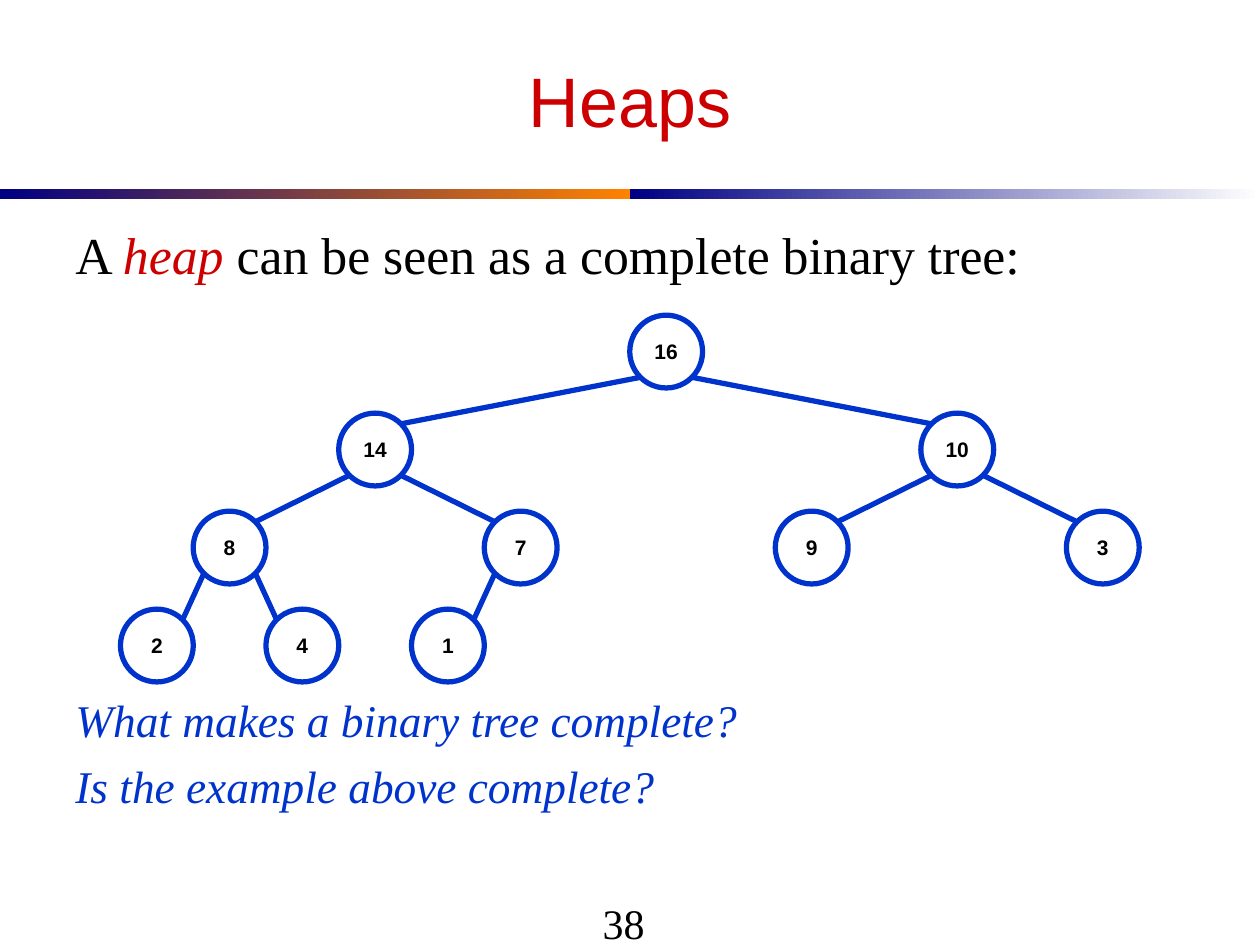
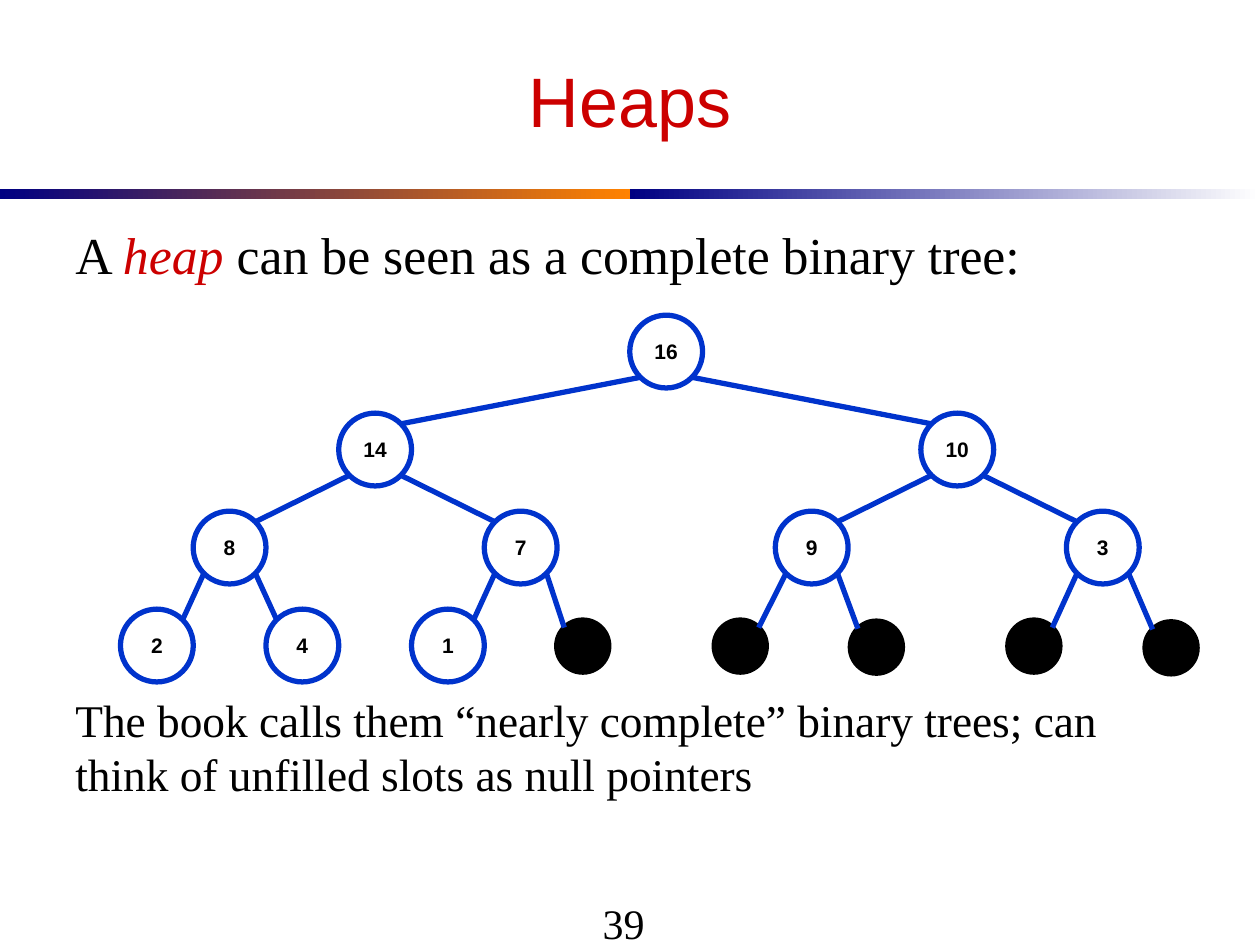
from lxml.etree import SubElement
from pptx import Presentation
from pptx.dml.color import RGBColor
from pptx.enum.shapes import MSO_CONNECTOR as Connector, MSO_SHAPE as Shape
from pptx.enum.text import MSO_ANCHOR as Anchor, PP_ALIGN as Align
from pptx.oxml.ns import qn
from pptx.util import Pt

COLOURS = {
    "ink": "000000",
    "paper": "FFFFFF",
    "red": "CC0000",
    "blue": "0033CC",
    "navy": "000082",
    "orange": "FF8200",
}
SERIF, SANS = "Times New Roman", "Arial"
WIDTH, HEIGHT = 720, 540
HEAP = [16, 14, 10, 8, 7, 9, 3, 2, 4, 1]
NULL_CENTRES = [(333, 369.2), (423, 369.2), (500.8, 369.8), (590.8, 369.2), (669.2, 370.2)]
ROOT_X, ROOT_Y = 380.7, 200.9
COLUMN, ROW = 41.58, 56
NODE_SIZE, NULL_SIZE = 41.6, 29.8
DIAGONAL = 0.5 ** 0.5


def colour(name):
    return RGBColor.from_string(COLOURS[name])


def add_text(para, text, size=12, font=SERIF, ink="ink", bold=False, italic=False):
    span = para.add_run()
    span.text = text
    span.font.size = Pt(size)
    span.font.name = font
    span.font.color.rgb = colour(ink)
    span.font.bold = bold
    span.font.italic = italic


def node_centre(index):
    level = index.bit_length() - 1
    slot = index - 2 ** level
    offset = (2 * slot + 1) * 8 / 2 ** level - 8
    return ROOT_X + offset * COLUMN, ROOT_Y + level * ROW


class HeapDeck:
    def __init__(self):
        self.deck = Presentation()
        self.deck.slide_width, self.deck.slide_height = Pt(WIDTH), Pt(HEIGHT)
        self.page = None

    def start_page(self, title, number):
        self.page = self.deck.slides.add_slide(self.deck.slide_layouts[6])
        self.band(0, "navy", "orange")
        self.band(WIDTH / 2, "navy", "paper")
        footer = self.text_box(36, 495.4, 647.3, 64, Anchor.MIDDLE)
        footer.margin_right = Pt(13.7)
        footer.paragraphs[0].alignment = Align.CENTER
        add_text(footer.paragraphs[0], str(number), size=24)
        heading = self.text_box(36, 18, 648, 77.8, Anchor.MIDDLE)
        heading.paragraphs[0].alignment = Align.CENTER
        add_text(heading.paragraphs[0], title, size=40, font=SANS, ink="red")

    def band(self, left, start, end):
        band = self.page.shapes.add_shape(
            Shape.RECTANGLE, Pt(left), Pt(108), Pt(WIDTH / 2), Pt(5.76))
        band.shadow.inherit = False
        band.line.fill.background()
        band.fill.gradient()
        band.fill.gradient_angle = 0
        for stop, name in zip(band.fill.gradient_stops, (start, end)):
            stop.color.rgb = colour(name)

    def text_box(self, left, top, width, height, anchor=Anchor.TOP):
        box = self.page.shapes.add_textbox(Pt(left), Pt(top), Pt(width), Pt(height))
        frame = box.text_frame
        frame.word_wrap = True
        frame.vertical_anchor = anchor
        return frame

    def statement(self):
        para = self.text_box(36, 123.6, 648, 42).paragraphs[0]
        add_text(para, "A ", size=29.6)
        add_text(para, "heap", size=29.6, ink="red", italic=True)
        add_text(para, " can be seen as a complete binary tree:", size=29.6)

    def remarks(self, lines, **style):
        frame = self.text_box(36, 392.2, 648, 76)
        for position, line in enumerate(lines):
            para = frame.add_paragraph() if position else frame.paragraphs[0]
            para.line_spacing = Pt(30.9)
            if position:
                para.space_before = Pt(7)
            add_text(para, line, size=25.9, **style)

    def circle(self, centre, size, fill, outline):
        x, y = centre
        circle = self.page.shapes.add_shape(
            Shape.OVAL, Pt(x - size / 2), Pt(y - size / 2), Pt(size), Pt(size))
        circle.shadow.inherit = False
        circle.fill.solid()
        circle.fill.fore_color.rgb = colour(fill)
        circle.line.color.rgb = colour(outline)
        circle.line.width = Pt(3)
        return circle

    def node(self, index, value):
        frame = self.circle(node_centre(index), NODE_SIZE, "paper", "blue").text_frame
        frame.word_wrap = False
        frame.vertical_anchor = Anchor.MIDDLE
        para = frame.paragraphs[0]
        para.alignment = Align.CENTER
        add_text(para, str(value), font=SANS, bold=True)

    def edge(self, index, child, child_size):
        parent = node_centre(index // 2)
        side = 1 if index % 2 else -1
        reach, child_reach = NODE_SIZE / 2 * DIAGONAL, child_size / 2 * DIAGONAL
        line = self.page.shapes.add_connector(
            Connector.STRAIGHT,
            Pt(parent[0] + side * reach), Pt(parent[1] + reach),
            Pt(child[0] - side * child_reach), Pt(child[1] - child_reach))
        line.line.color.rgb = colour("blue")
        line.line.width = Pt(3)
        SubElement(line._element.spPr, qn("a:effectLst"))

    def tree(self):
        for index, value in enumerate(HEAP, 1):
            self.node(index, value)
        for index in range(2, len(HEAP) + 1):
            self.edge(index, node_centre(index), NODE_SIZE)

    def null_slots(self):
        for index, centre in enumerate(NULL_CENTRES, len(HEAP) + 1):
            self.circle(centre, NULL_SIZE, "ink", "ink")
            self.edge(index, centre, NULL_SIZE)


def main():
    heaps = HeapDeck()

    heaps.start_page("Heaps", 38)
    heaps.statement()
    heaps.remarks(["What makes a binary tree complete?", "Is the example above complete?"],
                  ink="blue", italic=True)
    heaps.tree()

    heaps.start_page("Heaps", 39)
    heaps.statement()
    heaps.remarks(["The book calls them “nearly complete” binary trees; "
                   "can think of unfilled slots as null pointers"])
    heaps.tree()
    heaps.null_slots()

    heaps.deck.save("out.pptx")


if __name__ == "__main__":
    main()
